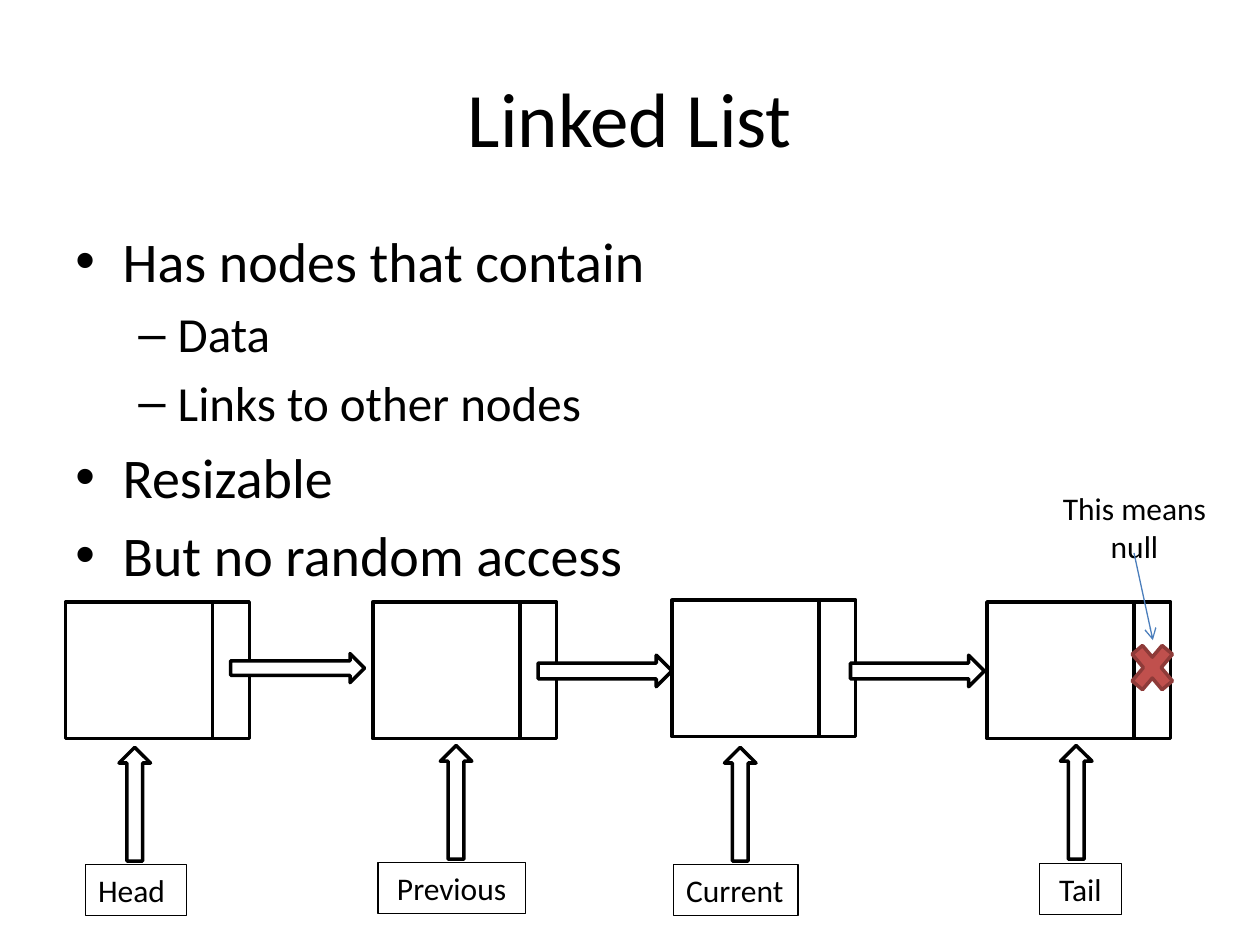
from pptx import Presentation
from pptx.dml.color import RGBColor
from pptx.enum.shapes import MSO_CONNECTOR, MSO_SHAPE
from pptx.enum.text import MSO_ANCHOR, PP_ALIGN
from pptx.oxml.ns import qn
from pptx.util import Pt
from lxml.etree import SubElement

COLORS = {"ink": "000000", "paper": "FFFFFF", "cross": "C0504D",
          "cross_edge": "8E3B39", "pointer": "4B7EBC"}
FONT = "Calibri"
NODE_W, LINK_W, NODE_H = 84, 21, 78


class Deck:
    """Drawing style and the current slide, with lengths in points."""

    def __init__(self, prs):
        self.s = prs.slides.add_slide(prs.slide_layouts[6])

    def color(self, name):
        return RGBColor.from_string(COLORS[name])

    def style(self, p, size, align):
        p.alignment = align
        for r in p.runs:
            r.font.name, r.font.size = FONT, Pt(size)
            r.font.color.rgb = self.color("ink")

    def text(self, text, x, y, w, h, size, align=PP_ALIGN.CENTER, anchor=MSO_ANCHOR.TOP):
        sp = self.s.shapes.add_textbox(Pt(x), Pt(y), Pt(w), Pt(h))
        tf = sp.text_frame
        tf.word_wrap, tf.vertical_anchor = True, anchor
        tf.text = text
        for p in tf.paragraphs:
            self.style(p, size, align)
        return sp

    def label(self, text, x, y, w, align):
        sp = self.text(text, x, y, w, 29, 18, align)
        sp.line.color.rgb, sp.line.width = self.color("ink"), Pt(0.75)

    def bullets(self, items, x, y, w, h):
        styles = {0: (32, 27, 27, "•"), 1: (28, 58.5, 22.5, "–")}
        tf = self.text("\n".join(t for _, t in items), x, y, w, h, 32).text_frame
        for p, (level, _) in zip(tf.paragraphs, items):
            size, left, hang, mark = styles[level]
            self.style(p, size, PP_ALIGN.LEFT)
            p.level, p.space_before = level, Pt(size * 0.2)
            pPr = p._p.get_or_add_pPr()
            pPr.set("marL", str(Pt(left)))
            pPr.set("indent", str(-Pt(hang)))
            SubElement(pPr, qn("a:buFont"), typeface="Arial")
            SubElement(pPr, qn("a:buChar"), char=mark)

    def shape(self, kind, x, y, w, h, fill="paper", line="ink", parent=None):
        shapes = (parent or self.s).shapes
        sp = shapes.add_shape(kind, Pt(x), Pt(y), Pt(w), Pt(h))
        sp.shadow.inherit = False
        sp.fill.solid()
        sp.fill.fore_color.rgb = self.color(fill)
        sp.line.color.rgb, sp.line.width = self.color(line), Pt(2)

    def node(self, x, y):
        group = self.s.shapes.add_group_shape()
        for left, width in ((x, NODE_W), (x + NODE_W, LINK_W)):
            self.shape(MSO_SHAPE.RECTANGLE, left, y, width, NODE_H, parent=group)

    def pointer(self, x1, y1, x2, y2):
        c = self.s.shapes.add_connector(MSO_CONNECTOR.STRAIGHT, Pt(x1), Pt(y1), Pt(x2), Pt(y2))
        c.line.color.rgb, c.line.width = self.color("pointer"), Pt(0.75)
        SubElement(c.line._get_or_add_ln(), qn("a:tailEnd"), type="arrow")
        SubElement(c._element.spPr, qn("a:effectLst"))


def main():
    prs = Presentation()
    prs.slide_width, prs.slide_height = Pt(720), Pt(540)
    d = Deck(prs)
    d.text("Linked List", 36, 21.6, 648, 90, 44, anchor=MSO_ANCHOR.MIDDLE)
    d.bullets([(0, "Has nodes that contain"), (1, "Data"), (1, "Links to other nodes"),
               (0, "Resizable"), (0, "But no random access")], 36, 126, 648, 356.4)

    for x, y in ((37.5, 344), (213, 344), (384, 343), (564, 344)):
        d.node(x, y)
    for x, y, h in ((131.8, 373.5, 16.6), (307.5, 374.4, 18), (486, 374.4, 18)):
        d.shape(MSO_SHAPE.RIGHT_ARROW, x, y, 76.5, h)

    left, center = PP_ALIGN.LEFT, PP_ALIGN.CENTER
    for name, x, y, w, align, arrow_x, arrow_y in (
            ("Head", 49, 494, 57.6, left, 68, 427),
            ("Previous", 216, 493, 84.2, center, 251.6, 426),
            ("Current", 385, 494, 71, left, 414, 427),
            ("Tail", 594, 493.5, 46.8, center, 606, 426)):
        d.label(name, x, y, w, align)
        d.shape(MSO_SHAPE.UP_ARROW, arrow_x, arrow_y, 18, 65)

    d.shape(MSO_SHAPE.MATH_MULTIPLY, 642, 362, 33, 39, "cross", "cross_edge")
    d.text("This means null", 598.3, 275.8, 100, 51, 18)
    d.pointer(648, 316, 658.8, 365.8)
    prs.save("out.pptx")


if __name__ == "__main__":
    main()
